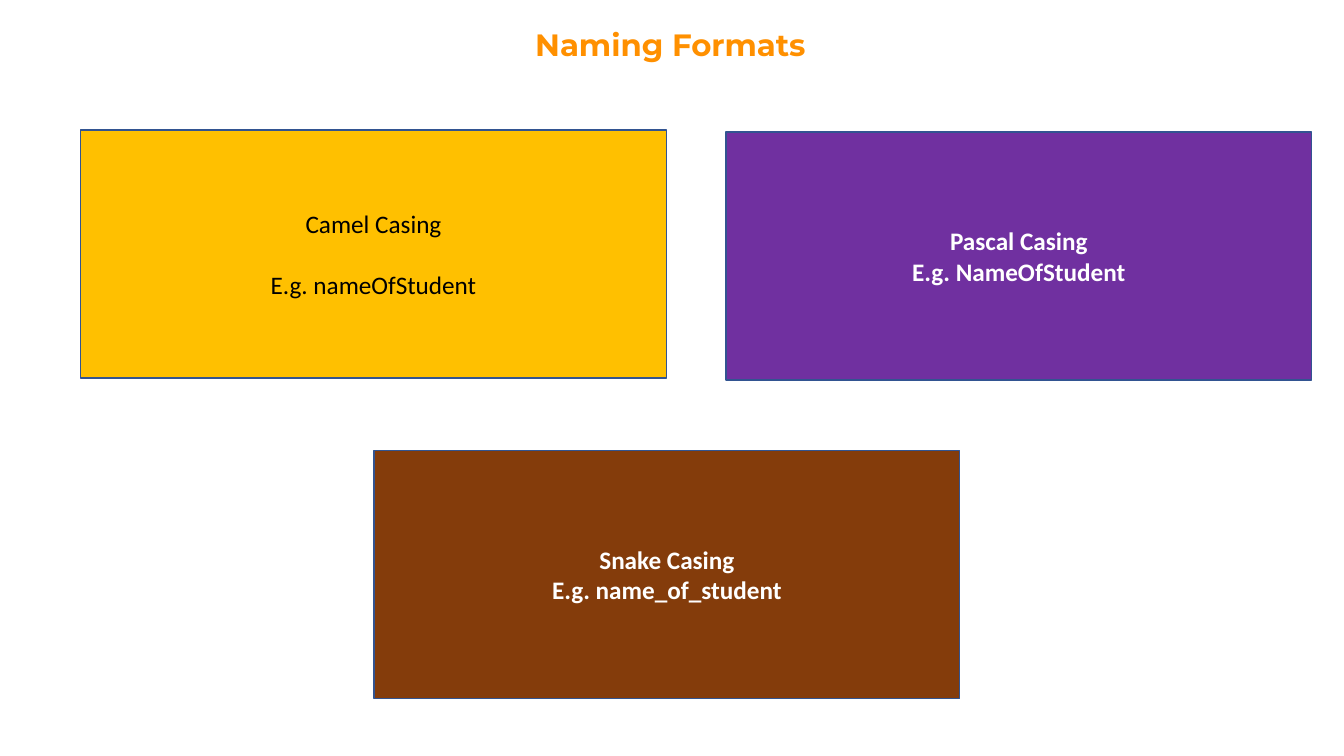
"""Build a slide that shows three naming formats as coloured boxes."""
import pptx
import pptx.util
import pptx.dml.color
import pptx.enum.shapes
import pptx.enum.text

Inches, Pt = pptx.util.Inches, pptx.util.Pt
Color = pptx.dml.color.RGBColor
Align, Anchor = pptx.enum.text.PP_ALIGN, pptx.enum.text.MSO_ANCHOR

ORANGE, GOLD = Color(0xFF, 0x90, 0x00), Color(0xFF, 0xC0, 0x00)
PURPLE, BROWN = Color(0x70, 0x30, 0xA0), Color(0x84, 0x3C, 0x0B)
NAVY = Color(0x32, 0x54, 0x91)
BLACK, WHITE = Color(0, 0, 0), Color(0xFF, 0xFF, 0xFF)

TITLE = "Naming Formats"
HEAD = {"name": "Montserrat", "size": Pt(22), "bold": True}
PLAIN = {"name": "Calibri", "size": Pt(18), "bold": False}
BOLD = {**PLAIN, "bold": True}
WIDE, HIGH = 5.81, 2.46
BOXES = [
    ("Camel Casing", "E.g. nameOfStudent", 0.8, 1.29, GOLD, BLACK, PLAIN, 22),
    ("Pascal Casing", "E.g. NameOfStudent", 7.2, 1.31, PURPLE, WHITE, BOLD, 0),
    ("Snake Casing", "E.g. name_of_student", 3.71, 4.47, BROWN, WHITE, BOLD, 0),
]


def write(para, text, font, color):
    """Add one formatted run to a paragraph."""
    run = para.add_run()
    run.text = text
    for key, value in font.items():
        setattr(run.font, key, value)
    run.font.color.rgb = color


deck = pptx.Presentation()
deck.slide_width, deck.slide_height = Inches(13.33), Inches(7.5)
slide = deck.slides.add_slide(deck.slide_layouts[6])

title = slide.shapes.add_textbox(Inches(5.21), Inches(0.21), Inches(2.92), Inches(0.47))
title.text_frame.word_wrap = False
title.text_frame.auto_size = pptx.enum.text.MSO_AUTO_SIZE.SHAPE_TO_FIT_TEXT
write(title.text_frame.paragraphs[0], TITLE, HEAD, ORANGE)

for name, sample, left, top, fill, ink, font, gap in BOXES:
    box = slide.shapes.add_shape(
        pptx.enum.shapes.MSO_SHAPE.RECTANGLE,
        Inches(left), Inches(top), Inches(WIDE), Inches(HIGH))
    box.shadow.inherit = False
    box.fill.solid()
    box.fill.fore_color.rgb = fill
    box.line.color.rgb = NAVY
    box.line.width = Pt(1)
    frame = box.text_frame
    frame.word_wrap = True
    frame.vertical_anchor = Anchor.MIDDLE
    first, second = frame.paragraphs[0], frame.add_paragraph()
    first.space_after = Pt(gap)
    for para, text in ((first, name), (second, sample)):
        para.alignment = Align.CENTER
        write(para, text, font, ink)

deck.save("out.pptx")
